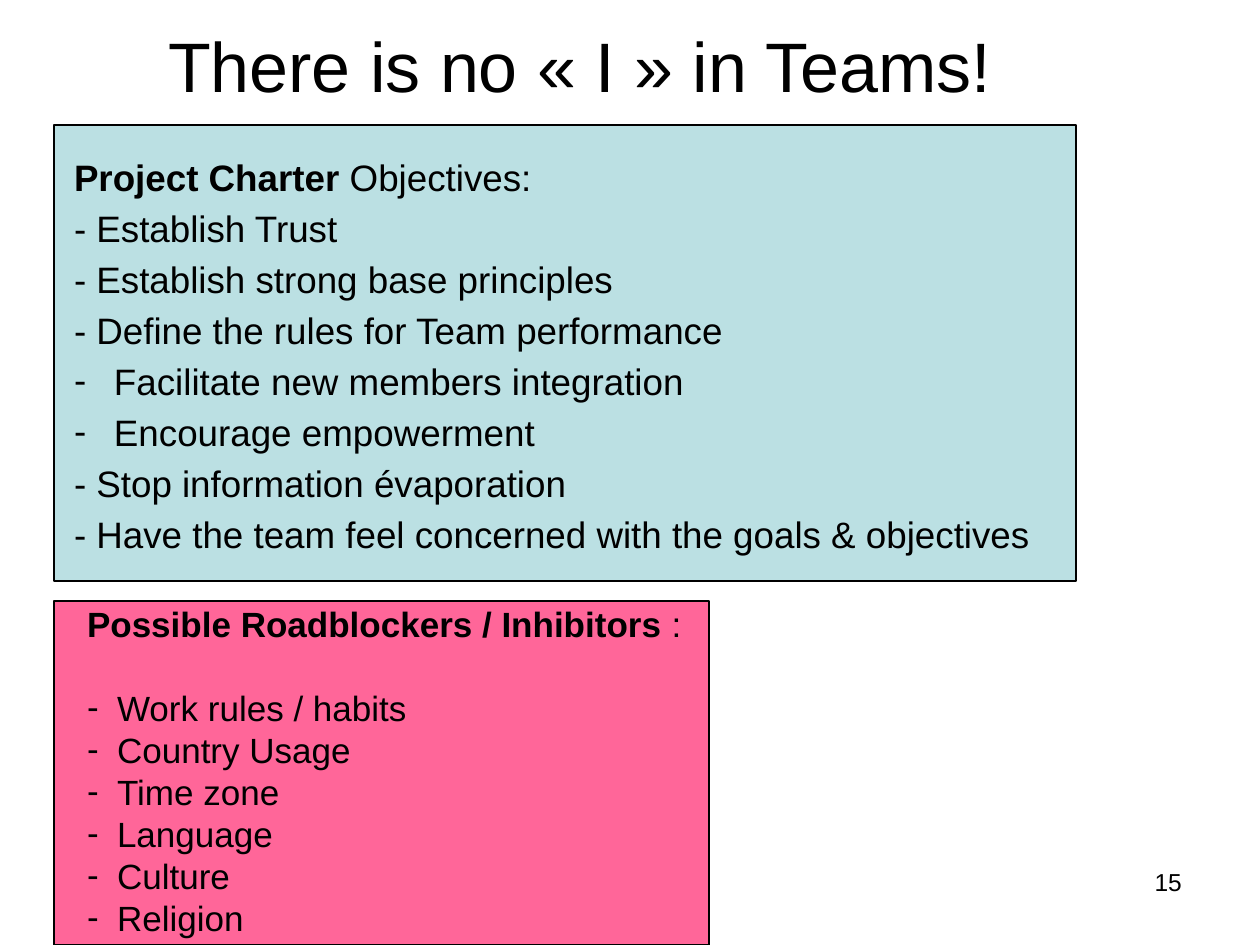
"""Build the team charter slide."""
from lxml import etree
from pptx import Presentation
from pptx.dml.color import RGBColor
from pptx.enum.shapes import MSO_SHAPE
from pptx.enum.text import MSO_ANCHOR, MSO_AUTO_SIZE, PP_ALIGN
from pptx.oxml.ns import qn
from pptx.util import Pt

PX = 914400 / 126
BLACK = RGBColor(0x00, 0x00, 0x00)
TEAL = RGBColor(0xBB, 0xE0, 0xE3)
PINK = RGBColor(0xFF, 0x66, 0x99)
RECTANGLE = MSO_SHAPE.RECTANGLE
TOP, MIDDLE = MSO_ANCHOR.TOP, MSO_ANCHOR.MIDDLE
LEFT, RIGHT = PP_ALIGN.LEFT, PP_ALIGN.RIGHT
NO_FIT = MSO_AUTO_SIZE.NONE

OBJECTIVES = [
    ("- Establish Trust", 0),
    ("- Establish strong base principles", 0),
    ("- Define the rules for Team performance", 0),
    ("Facilitate new members integration", 40),
    ("Encourage empowerment", 40),
    ("- Stop information évaporation", 0),
    ("- Have the team feel concerned with the goals & objectives", 0),
]
ROADBLOCKS = ["Work rules / habits", "Country Usage", "Time zone", "Language", "Culture", "Religion"]


def emu(length):
    """Turn px into EMU."""
    return round(length * PX)


def write(para, text, size=20, bold_part="", indent=0, after=0, align=LEFT):
    """Write one paragraph, with a dash bullet when it has an indent."""
    properties = para._p.get_or_add_pPr()
    properties.set("marL", str(emu(indent)))
    properties.set("indent", str(-emu(indent)))
    if indent:
        etree.SubElement(properties, qn("a:buChar"), char="-")
    else:
        etree.SubElement(properties, qn("a:buNone"))
    para.alignment = align
    para.space_before = Pt(0)
    para.space_after = Pt(after)
    para.line_spacing = 1.0
    for part, bold in ((bold_part, True), (text, False)):
        if part:
            span = para.add_run()
            span.text = part
            span.font.name = "Arial"
            span.font.size = Pt(size)
            span.font.bold = bold
            span.font.color.rgb = BLACK


class SlideBuilder:
    """Hold the slide and place its elements."""

    def __init__(self, slide):
        """Keep the slide being built."""
        self.slide = slide

    def panel(self, left, top, width, height, color):
        """Place an outlined rectangle behind the text."""
        box = self.slide.shapes.add_shape(RECTANGLE, *map(emu, (left, top, width, height)))
        box.shadow.inherit = False
        box.fill.solid()
        box.fill.fore_color.rgb = color
        box.line.color.rgb = BLACK
        box.line.width = Pt(0.75)
        box.element.getparent().insert(2, box.element)

    def text(self, box, left, top, width, height, lines, inset=(13, 6), anchor=TOP):
        """Place a text shape and write its lines."""
        box.left, box.top, box.width, box.height = map(emu, (left, top, width, height))
        frame = box.text_frame
        frame.word_wrap = True
        frame.auto_size = NO_FIT
        frame.vertical_anchor = anchor
        frame.margin_left = frame.margin_right = emu(inset[0])
        frame.margin_top = frame.margin_bottom = emu(inset[1])
        for number, line in enumerate(lines):
            para = frame.add_paragraph() if number else frame.paragraphs[0]
            write(para, **line)

    def number(self, left, top, width, height, text):
        """Place the page number."""
        box = self.slide.shapes.add_textbox(0, 0, 0, 0)
        self.text(box, left, top, width, height, [dict(text=text, size=14, align=RIGHT)])


def main():
    """Build and save the deck."""
    deck = Presentation()
    deck.slide_width, deck.slide_height = emu(1260), emu(945)
    page = deck.slides.add_slide(deck.slide_layouts[3])
    title, objectives, roadblocks = page.placeholders
    builder = SlideBuilder(page)
    builder.panel(54, 125, 1022, 456, TEAL)
    builder.panel(54, 601, 655, 344, PINK)
    builder.text(title, 155, 16, 1042, 105, [dict(text="There is no « I » in Teams!", size=40)])

    style = dict(size=21, after=3.9)
    lines = [dict(text=" Objectives:", bold_part="Project Charter", **style)]
    lines += [dict(text=text, indent=indent, **style) for text, indent in OBJECTIVES]
    builder.text(objectives, 74, 155, 980, 401, lines, inset=(0, 0), anchor=MIDDLE)

    lines = [dict(text=" :", bold_part="Possible Roadblockers / Inhibitors", after=24)]
    lines += [dict(text=text, indent=30) for text in ROADBLOCKS]
    builder.text(roadblocks, 74, 596, 625, 349, lines)
    builder.number(903, 861, 292, 64, "15")
    deck.save("out.pptx")


if __name__ == "__main__":
    main()
